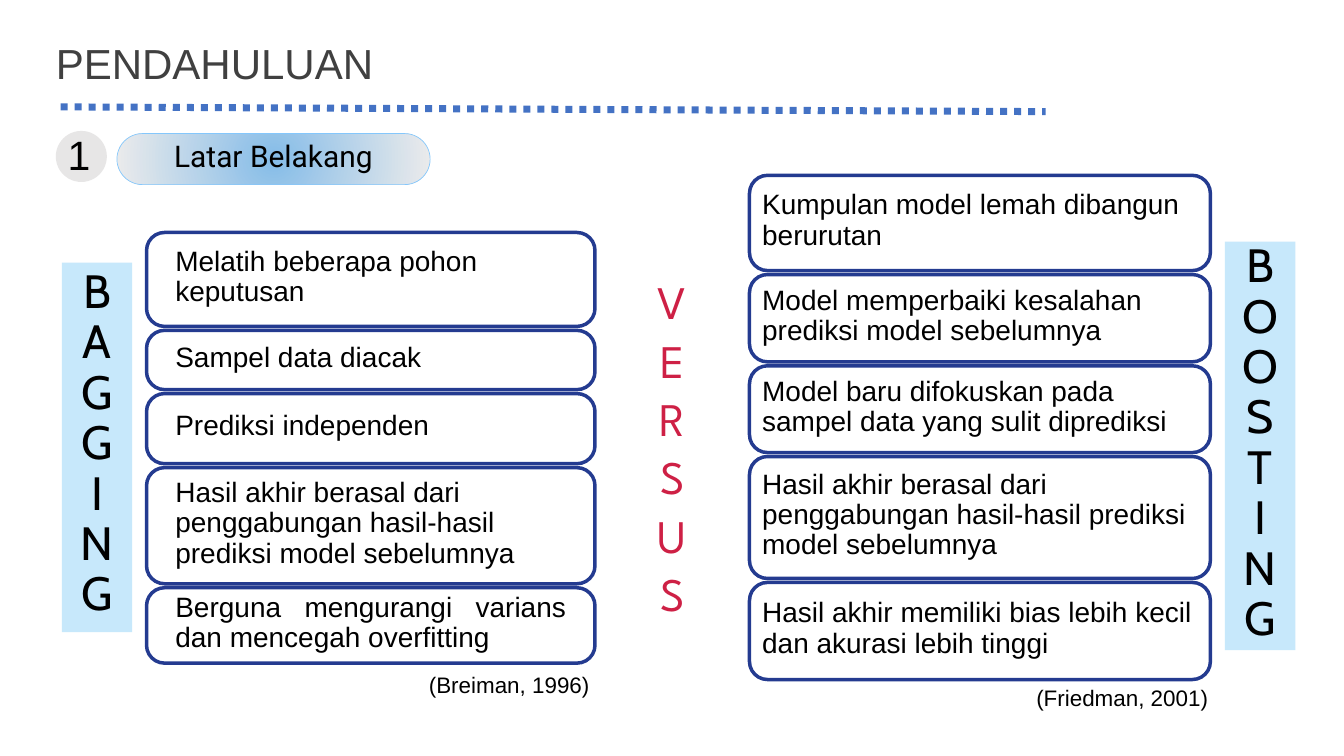
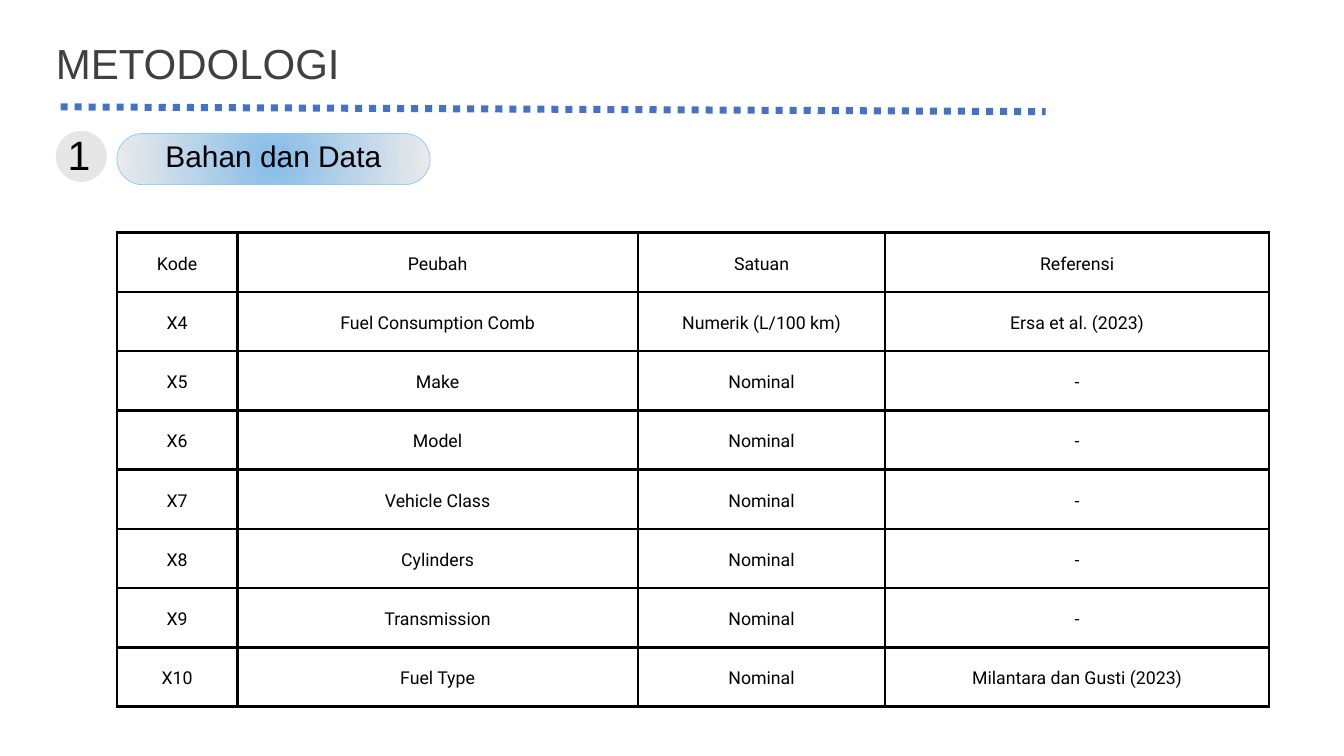
"""Build two slides: bagging versus boosting, and the table of study variables."""
import lxml.etree
import pptx
import pptx.dml.color
import pptx.enum.dml
import pptx.enum.shapes
import pptx.enum.text
import pptx.oxml
import pptx.oxml.ns
import pptx.util

Cm, Pt = pptx.util.Cm, pptx.util.Pt
ALIGN, ANCHOR = pptx.enum.text.PP_ALIGN, pptx.enum.text.MSO_ANCHOR
PRESET = pptx.enum.shapes.MSO_SHAPE
qn = pptx.oxml.ns.qn

BLACK, GREY, BLUE, NAVY = "000000", "404040", "4472C4", "243B90"
SKY, RED, DISC = "C7E8FB", "CE2045", "E7E6E6"
PILL_CENTRE, PILL_EDGE, PILL_LINE = "85BCE8", "EBEBEB", "84C7FC"

INTRODUCTION = {"title": "PENDAHULUAN", "number": "1", "section": "Latar Belakang", "font": "Roboto"}
METHOD = {"title": "METODOLOGI", "number": "1", "section": "Bahan dan Data", "font": "Arial"}

METHODS = [
    {
        "banner": ("BAGGING", (2.34, 9.93, 2.66, 13.97), 0.18),
        "cards_at": (5.54, 8.79, 16.95),
        "insets": (0.89, 0, 0.89, 0.18),
        "cards": [
            ("Melatih beberapa pohon keputusan", 3.55, ALIGN.LEFT),
            ("Sampel data diacak", 2.24, ALIGN.LEFT),
            ("Prediksi independen", 2.65, ALIGN.LEFT),
            ("Hasil akhir berasal dari penggabungan hasil-hasil prediksi model sebelumnya", 4.39, ALIGN.LEFT),
            ("Berguna mengurangi varians dan mencegah overfitting", 2.85, ALIGN.JUSTIFY),
        ],
        "citation": ("(Breiman, 1996)", (16.21, 25.48, 6.27, 1.07)),
    },
    {
        "banner": ("BOOSTING", (46.3, 9.14, 2.66, 15.44), 0),
        "cards_at": (28.33, 6.63, 17.42),
        "insets": (0.28, 0, 0.05, 0.18),
        "cards": [
            ("Kumpulan model lemah dibangun berurutan", 3.6, ALIGN.LEFT),
            ("Model memperbaiki kesalahan prediksi model sebelumnya", 3.3, ALIGN.LEFT),
            ("Model baru difokuskan pada sampel data yang sulit diprediksi", 3.28, ALIGN.LEFT),
            ("Hasil akhir berasal dari penggabungan hasil-hasil prediksi model sebelumnya", 4.61, ALIGN.LEFT),
            ("Hasil akhir memiliki bias lebih kecil dan akurasi lebih tinggi", 3.67, ALIGN.LEFT),
        ],
        "citation": ("(Friedman, 2001)", (39.17, 25.98, 6.58, 1.07)),
    },
]
CARD_GAP, CARD_RADIUS = 0.15, 0.68

VARIABLES = [
    ("Kode", "Peubah", "Satuan", "Referensi"),
    ("X4", "Fuel Consumption Comb", "Numerik (L/100 km)", "Ersa et al. (2023)"),
    ("X5", "Make", "Nominal", "-"),
    ("X6", "Model", "Nominal", "-"),
    ("X7", "Vehicle Class", "Nominal", "-"),
    ("X8", "Cylinders", "Nominal", "-"),
    ("X9", "Transmission", "Nominal", "-"),
    ("X10", "Fuel Type", "Nominal", "Milantara dan Gusti (2023)"),
]
COLUMN_WIDTHS = (4.55, 15.14, 9.35, 14.5)
ROW_HEIGHT = 2.24


def colour(value):
    return pptx.dml.color.RGBColor.from_string(value)


def box(at):
    return [Cm(length) for length in at]


def write(frame, lines, size, spacing, font="Arial", ink=BLACK, align=ALIGN.LEFT,
          anchor=ANCHOR.TOP, insets=(0, 0, 0, 0)):
    frame.word_wrap = True
    frame.auto_size = pptx.enum.text.MSO_AUTO_SIZE.NONE
    frame.vertical_anchor = anchor
    (frame.margin_left, frame.margin_top,
     frame.margin_right, frame.margin_bottom) = box(insets)
    for index, line in enumerate(lines):
        paragraph = frame.paragraphs[0] if index == 0 else frame.add_paragraph()
        write_line(paragraph, line, size, spacing, font, ink, align)


def write_line(paragraph, line, size, spacing, font, ink, align):
    paragraph.alignment = align
    paragraph.line_spacing = Pt(spacing)
    run = paragraph.add_run()
    run.text = line
    run.font.name, run.font.size = font, Pt(size)
    run.font.color.rgb = colour(ink)


def add_panel(slide, preset, at, fill=None, line=None, width=0):
    panel = slide.shapes.add_shape(preset, *box(at))
    panel.shadow.inherit = False
    if fill:
        panel.fill.solid()
        panel.fill.fore_color.rgb = colour(fill)
    else:
        panel.fill.background()
    if line:
        panel.line.color.rgb = colour(line)
        panel.line.width = Pt(width)
    else:
        panel.line.fill.background()
    return panel


def add_text(slide, at, lines, size, spacing, **style):
    write(slide.shapes.add_textbox(*box(at)).text_frame, lines, size, spacing, **style)


def make_radial(panel, centre, edge):
    panel.fill.gradient()
    for stop, shade in zip(panel.fill.gradient_stops, (centre, edge)):
        stop.color.rgb = colour(shade)
    gradient = panel.element.spPr.find(qn("a:gradFill"))
    gradient.remove(gradient.find(qn("a:lin")))
    radial = lxml.etree.SubElement(gradient, qn("a:path"), path="circle")
    lxml.etree.SubElement(radial, qn("a:fillToRect"), l="50000", t="50000", r="50000", b="50000")


def add_section_slide(deck, heading):
    slide = deck.slides.add_slide(deck.slide_layouts[5])
    title = slide.shapes.title
    title.left, title.top, title.width, title.height = box((2.11, 1.6, 32.77, 1.98))
    write(title.text_frame, [heading["title"]], 45, 48.6, ink=GREY)

    rule = slide.shapes.add_connector(
        pptx.enum.shapes.MSO_CONNECTOR.STRAIGHT, *box((2.29, 4.04, 39.52, 4.22)))
    rule.line.color.rgb = colour(BLUE)
    rule.line.width = Pt(7.5)
    rule.line.dash_style = pptx.enum.dml.MSO_LINE.ROUND_DOT
    lxml.etree.SubElement(rule.element.spPr, qn("a:effectLst"))

    section = add_panel(slide, PRESET.ROUNDED_RECTANGLE, (4.42, 5.05, 11.84, 1.93),
                        line=PILL_LINE, width=0.75)
    section.adjustments[0] = 0.5
    make_radial(section, PILL_CENTRE, PILL_EDGE)
    write(section.text_frame, [heading["section"]], 32, 31.1, font=heading["font"],
          align=ALIGN.CENTER, anchor=ANCHOR.MIDDLE, insets=(0.15,) * 4)

    number = add_panel(slide, PRESET.OVAL, (2.11, 4.95, 1.93, 1.93), fill=DISC)
    write(number.text_frame, [heading["number"]], 43.9, 47.4, align=ALIGN.CENTER,
          anchor=ANCHOR.MIDDLE, insets=(0, 0, 0.18, 0))
    return slide


def add_method(slide, method):
    word, at, top_inset = method["banner"]
    banner = add_panel(slide, PRESET.RECTANGLE, at, fill=SKY)
    write(banner.text_frame, word, 50, 54, font="Cabin", align=ALIGN.CENTER,
          insets=(0, top_inset, 0, 0))

    left, top, width = method["cards_at"]
    for sentence, height, align in method["cards"]:
        card = add_panel(slide, PRESET.ROUNDED_RECTANGLE, (left, top, width, height),
                         line=NAVY, width=3.75)
        card.adjustments[0] = CARD_RADIUS / height
        write(card.text_frame, [sentence], 30, 32.4, align=align,
              anchor=ANCHOR.MIDDLE, insets=method["insets"])
        top += height + CARD_GAP

    source, at = method["citation"]
    add_text(slide, at, [source], 24, 25.9)


def add_borders(cell, ink, width):
    properties = cell._tc.get_or_add_tcPr()
    for index, side in enumerate(("a:lnL", "a:lnR", "a:lnT", "a:lnB")):
        border = lxml.etree.Element(qn(side), w=str(Pt(width)))
        fill = lxml.etree.SubElement(border, qn("a:solidFill"))
        lxml.etree.SubElement(fill, qn("a:srgbClr"), val=ink)
        properties.insert(index, border)


def add_variables(slide):
    at = (4.42, 8.79, sum(COLUMN_WIDTHS), ROW_HEIGHT * len(VARIABLES))
    variables = slide.shapes.add_table(len(VARIABLES), len(COLUMN_WIDTHS), *box(at)).table
    variables.first_row = variables.horz_banding = False
    for column, width in zip(variables.columns, COLUMN_WIDTHS):
        column.width = Cm(width)
    for row, entries in zip(variables.rows, VARIABLES):
        row.height = Cm(ROW_HEIGHT)
        for cell, entry in zip(row.cells, entries):
            cell.fill.background()
            cell.vertical_anchor = ANCHOR.MIDDLE
            cell.margin_left = cell.margin_right = cell.margin_top = cell.margin_bottom = 0
            write_line(cell.text_frame.paragraphs[0], entry, 19, 26.6, "Roboto", BLACK, ALIGN.CENTER)
            add_borders(cell, BLACK, 3)


def main():
    deck = pptx.Presentation()
    deck.slide_width, deck.slide_height = Cm(50.8), Cm(28.58)

    comparison = add_section_slide(deck, INTRODUCTION)
    for method in METHODS:
        add_method(comparison, method)
    add_text(comparison, (23.93, 10.24, 2.97, 13.16), "VERSUS", 50, 62.5,
             font="League Spartan", ink=RED, align=ALIGN.CENTER)

    add_variables(add_section_slide(deck, METHOD))
    deck.save("out.pptx")


if __name__ == "__main__":
    main()
